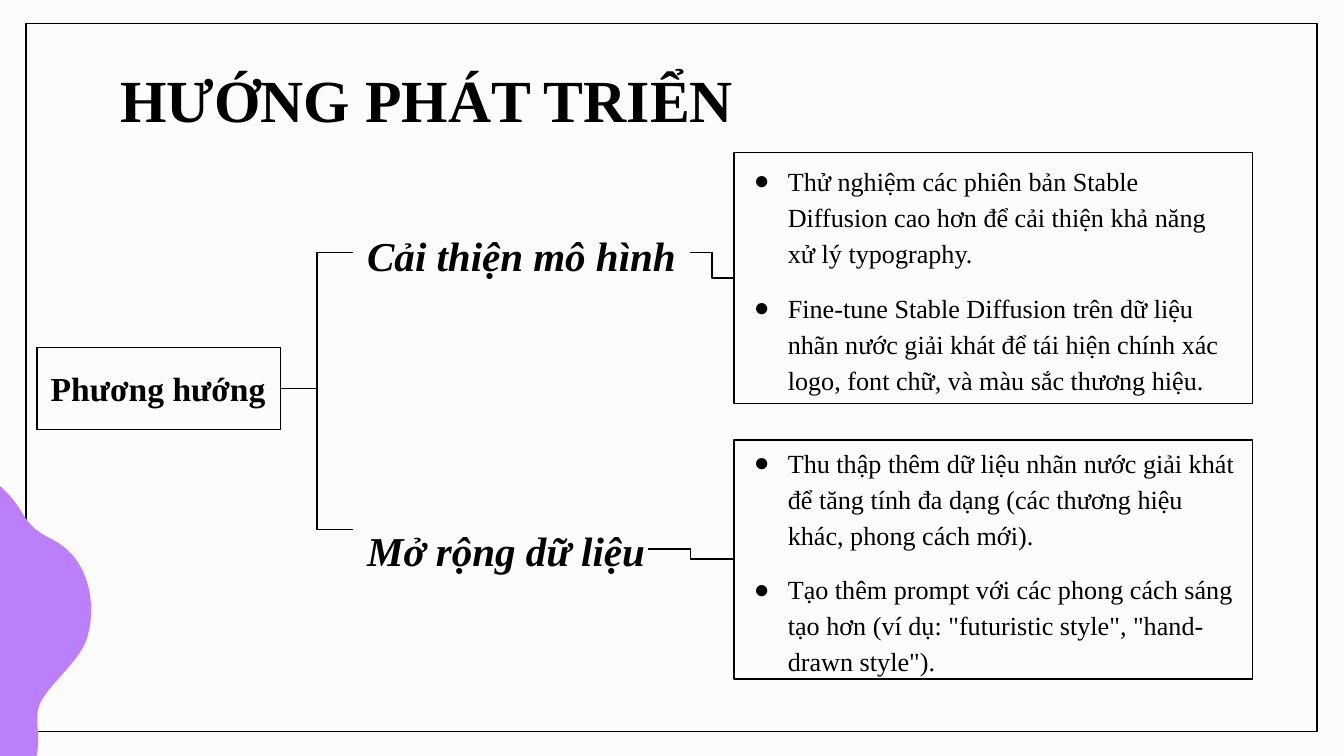
import dataclasses
from typing import Any

import pptx
import pptx.dml.color
import pptx.enum.shapes
import pptx.enum.text
import pptx.oxml
import pptx.oxml.ns
import pptx.util

Cm = pptx.util.Cm
Pt = pptx.util.Pt
Anchor = pptx.enum.text.MSO_ANCHOR
BLACK = pptx.dml.color.RGBColor(0x00, 0x00, 0x00)
PAPER = pptx.dml.color.RGBColor(0xFC, 0xFC, 0xFC)
PURPLE = pptx.dml.color.RGBColor(0xBB, 0x7F, 0xFA)
FACE = "Times New Roman"
SPACE = pptx.oxml.ns.nsdecls("a")
Point = tuple[float, float]
Area = tuple[float, float, float, float]


@dataclasses.dataclass
class Block:
    area: Area
    lines: list[str]
    style: dict[str, Any]
    anchor: Any = Anchor.MIDDLE
    border: bool = True
    bullet: bool = False
    pitch: float = 1.0


@dataclasses.dataclass
class Link:
    start: Point
    end: Point


TITLE = {"size": Pt(32), "bold": True}
ROOT = {"size": Pt(18), "bold": True}
BRANCH = {"size": Pt(22), "bold": True, "italic": True}
DETAIL = {"size": Pt(14)}

FRAME = Block((0.49, 0.45, 24.4, 13.38), [], {})
BLOCKS = [
    Block((2.01, 0.94, 21.41, 1.6), ["HƯỚNG PHÁT TRIỂN"], TITLE, Anchor.TOP, False),
    Block((0.7, 6.57, 4.6, 1.55), ["Phương hướng"], ROOT),
    Block((6.68, 3.99, 7.44, 1.55), ["Cải thiện mô hình"], BRANCH,
          Anchor.BOTTOM, False, pitch=1.15),
    Block((6.68, 8.88, 6.38, 2.24), ["Mở rộng dữ liệu"], BRANCH,
          Anchor.BOTTOM, False, pitch=1.15),
    Block((13.87, 2.88, 9.8, 4.75), [
        "Thử nghiệm các phiên bản Stable Diffusion cao hơn để cải thiện "
        "khả năng xử lý typography.",
        "Fine-tune Stable Diffusion trên dữ liệu nhãn nước giải khát để "
        "tái hiện chính xác logo, font chữ, và màu sắc thương hiệu.",
    ], DETAIL, bullet=True, pitch=1.15),
    Block((13.87, 8.32, 9.8, 4.52), [
        "Thu thập thêm dữ liệu nhãn nước giải khát để tăng tính đa dạng "
        "(các thương hiệu khác, phong cách mới).",
        "Tạo thêm prompt với các phong cách sáng tạo hơn "
        '(ví dụ: "futuristic style", "hand-drawn style").',
    ], DETAIL, bullet=True, pitch=1.15),
]
LINKS = [
    Link((5.3, 7.34), (6.68, 4.78)),
    Link((5.3, 7.34), (6.68, 10.01)),
    Link((13.04, 4.77), (13.87, 5.26)),
    Link((12.24, 10.38), (13.87, 10.57)),
]
BOUNDS = (-6.32, 8.64, 8.05, 6.58)
ORIGIN = (-2.59, 15.24)
CURVES = [
    ((-2.59, 15.24), (-3.23, 15.21), (-3.94, 15.21)),
    ((-4.65, 15.19), (-5.84, 15.27), (-6.2, 14.48)),
    ((-6.55, 13.69), (-6.12, 13.11), (-5.79, 12.73)),
    ((-5.46, 12.34), (-5.38, 11.91), (-5.64, 11.25)),
    ((-5.82, 10.74), (-5.84, 9.63), (-4.24, 9.4)),
    ((-3.07, 9.19), (-2.97, 9.12), (-2.36, 8.86)),
    ((-1.75, 8.61), (-0.97, 8.46), (-0.18, 9.04)),
    ((0.58, 9.63), (0.3, 9.86), (0.97, 10.19)),
    ((1.85, 10.62), (1.83, 11.81), (1.55, 12.27)),
    ((1.27, 12.73), (0.74, 13.11), (0.71, 13.46)),
    ((0.66, 13.82), (0.91, 14.43), (0.3, 14.81)),
    ((-0.3, 15.19), (-2.59, 15.24), (-2.59, 15.24)),
]


def add_mark(para: Any) -> None:
    props = para._p.get_or_add_pPr()
    props.set("marL", str(Cm(0.76)))
    props.set("indent", str(Cm(-0.64)))
    for part in (
        f'<a:buClr {SPACE}><a:srgbClr val="{BLACK}"/></a:buClr>',
        f'<a:buFont {SPACE} typeface="{FACE}"/>',
        f'<a:buChar {SPACE} char="●"/>',
    ):
        props.append(pptx.oxml.parse_xml(part))


def add_line(para: Any, text: str, block: Block, first: bool) -> None:
    if block.bullet:
        add_mark(para)
    layout = {
        "alignment": pptx.enum.text.PP_ALIGN.LEFT,
        "line_spacing": block.pitch,
        "space_before": Pt(0 if first else 10),
    }
    for name, value in layout.items():
        setattr(para, name, value)
    run = para.add_run()
    run.text = text
    for name, value in {"name": FACE, **block.style}.items():
        setattr(run.font, name, value)
    run.font.color.rgb = BLACK


def set_line(line: Any) -> None:
    line.color.rgb = BLACK
    line.width = Pt(0.75)


def add_block(shapes: Any, block: Block) -> None:
    area = [Cm(side) for side in block.area]
    if block.border:
        shape = shapes.add_shape(pptx.enum.shapes.MSO_SHAPE.RECTANGLE, *area)
        shape.shadow.inherit = False
        shape.fill.background()
        set_line(shape.line)
    else:
        shape = shapes.add_textbox(*area)
    frame = shape.text_frame
    format = {
        "margin_left": Cm(0.26),
        "margin_right": Cm(0.26),
        "margin_top": Cm(0.25),
        "margin_bottom": Cm(0.25),
        "word_wrap": True,
        "vertical_anchor": block.anchor,
    }
    for name, value in format.items():
        setattr(frame, name, value)
    for index, text in enumerate(block.lines):
        para = frame.add_paragraph() if index else frame.paragraphs[0]
        add_line(para, text, block, index == 0)


def add_link(shapes: Any, link: Link) -> None:
    ends = [Cm(side) for side in (*link.start, *link.end)]
    wire = shapes.add_connector(pptx.enum.shapes.MSO_CONNECTOR.ELBOW, *ends)
    set_line(wire.line)
    wire._element.spPr.append(pptx.oxml.parse_xml(f"<a:effectLst {SPACE}/>"))


def make_step(kind: str, knots: tuple[Point, ...]) -> Any:
    left, top = BOUNDS[:2]
    marks = "".join(
        f'<a:pt x="{Cm(x - left)}" y="{Cm(y - top)}"/>' for x, y in knots
    )
    return pptx.oxml.parse_xml(f"<a:{kind} {SPACE}>{marks}</a:{kind}>")


def add_blob(shapes: Any) -> None:
    build = shapes.build_freeform(Cm(ORIGIN[0]), Cm(ORIGIN[1]))
    build.add_line_segments([(Cm(x), Cm(y)) for *_, (x, y) in CURVES], close=True)
    blob = build.convert_to_shape()
    for name, side in zip(("left", "top", "width", "height"), BOUNDS):
        setattr(blob, name, Cm(side))
    trace = blob._element.find(f".//{pptx.oxml.ns.qn('a:path')}")
    trace.set("w", str(Cm(BOUNDS[2])))
    trace.set("h", str(Cm(BOUNDS[3])))
    for part in list(trace):
        trace.remove(part)
    trace.append(make_step("moveTo", (ORIGIN,)))
    for curve in CURVES:
        trace.append(make_step("cubicBezTo", curve))
    trace.append(make_step("close", ()))
    blob.shadow.inherit = False
    blob.fill.solid()
    blob.fill.fore_color.rgb = PURPLE
    blob.line.fill.background()


def main() -> None:
    deck = pptx.Presentation()
    deck.slide_width, deck.slide_height = Cm(25.4), Cm(14.29)
    slide = deck.slides.add_slide(deck.slide_layouts[6])
    slide.background.fill.solid()
    slide.background.fill.fore_color.rgb = PAPER
    add_block(slide.shapes, FRAME)
    add_blob(slide.shapes)
    for block in BLOCKS:
        add_block(slide.shapes, block)
    for link in LINKS:
        add_link(slide.shapes, link)
    deck.save("out.pptx")


if __name__ == "__main__":
    main()
